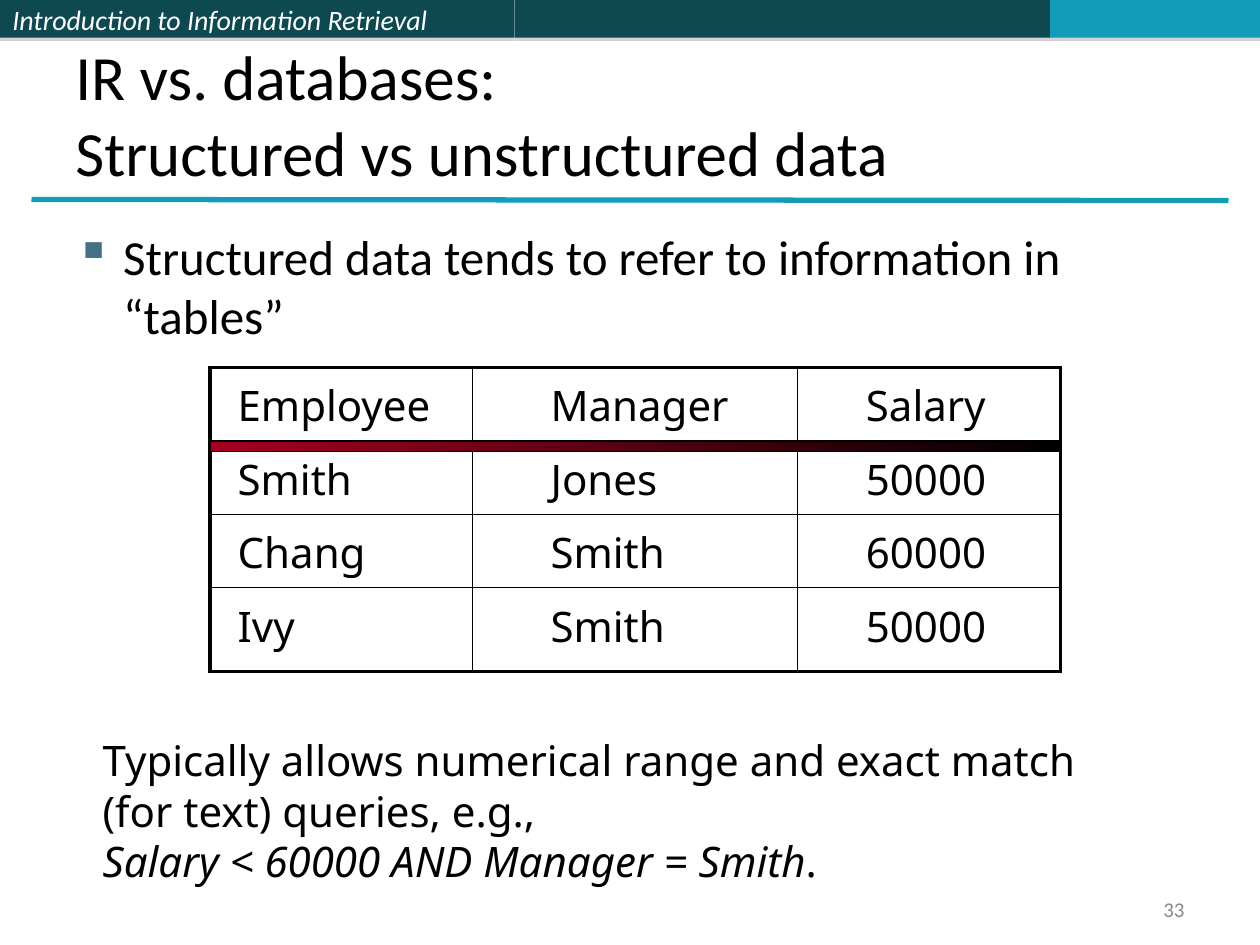
from dataclasses import dataclass

import lxml.etree
import pptx
import pptx.dml.color
import pptx.enum.shapes
import pptx.enum.text
import pptx.oxml
import pptx.oxml.ns
import pptx.util

ALIGN = pptx.enum.text.PP_ALIGN
ANCHOR = pptx.enum.text.MSO_ANCHOR
qn = pptx.oxml.ns.qn


@dataclass(frozen=True)
class Theme:
    heading_font: str = "Calibri"
    data_font: str = "Noto Sans"
    text: str = "000000"
    light: str = "FFFFFF"
    dark_band: str = "0E4851"
    accent: str = "139CB7"
    bullet: str = "437085"
    muted: str = "898989"
    shadow: str = "808080"
    rule_red: str = "A50021"
    title_size: float = 36
    body_size: float = 28
    data_size: float = 24
    data_leading: float = 28.8
    header_size: float = 16
    number_size: float = 12


@dataclass(frozen=True)
class Box:
    """A region in columns and rows of the 120 by 90 slide grid."""
    left: float
    top: float
    width: float
    height: float

    def emu(self):
        return [grid(value) for value in (self.left, self.top, self.width, self.height)]


THEME = Theme()
SLIDE = Box(0, 0, 120, 90)


def grid(units):
    return pptx.util.Inches(units / 12)


def rgb(value):
    return pptx.dml.color.RGBColor.from_string(value)


def style(font, name, size, color, italic=False):
    font.name, font.size, font.italic = name, pptx.util.Pt(size), italic
    font.color.rgb = rgb(color)


def child(parent, tag, **attributes):
    return lxml.etree.SubElement(parent, qn(tag), attributes)


def add_text(page, box, text, anchor=ANCHOR.MIDDLE, wrap=True):
    frame = page.shapes.add_textbox(*box.emu()).text_frame
    frame.word_wrap = wrap
    frame.vertical_anchor = anchor
    frame.text = text
    return frame


def add_rectangle(page, box):
    shape = page.shapes.add_shape(pptx.enum.shapes.MSO_SHAPE.RECTANGLE, *box.emu())
    shape.shadow.inherit = False
    return shape


def add_header(page, box, text):
    left = box.left
    bands = []
    for width, color in ((49, THEME.dark_band), (51, THEME.dark_band), (20, THEME.accent)):
        band = add_rectangle(page, Box(left, box.top, width, box.height))
        band.fill.solid()
        band.fill.fore_color.rgb = rgb(color)
        band.line.fill.background()
        effects = band._element.spPr.find(qn("a:effectLst"))
        shadow = child(effects, "a:outerShdw", dist=str(pptx.util.Pt(1.8)),
                       dir="5400000", rotWithShape="0")
        shade = child(shadow, "a:srgbClr", val=THEME.shadow)
        child(shade, "a:alpha", val="35000")
        bands.append(band)
        left += width
    frame = bands[0].text_frame
    frame.text = text
    frame.vertical_anchor = ANCHOR.MIDDLE
    para = frame.paragraphs[0]
    para.alignment = ALIGN.LEFT
    style(para.runs[0].font, THEME.heading_font, THEME.header_size, THEME.light, True)


def add_title(page, box, text):
    frame = add_text(page, box, text, ANCHOR.BOTTOM)
    for span in frame.paragraphs[0].runs:
        style(span.font, THEME.heading_font, THEME.title_size, THEME.text)


def add_title_rule(page, box):
    left, top, width, height = box.emu()
    rule = page.shapes.add_connector(
        pptx.enum.shapes.MSO_CONNECTOR.STRAIGHT, left, top, left + width, top + height)
    rule.line.color.rgb = rgb(THEME.accent)
    rule.line.width = pptx.util.Pt(3)
    child(rule._element.spPr, "a:effectLst")


def add_bullet(page, box, text):
    para = add_text(page, box, text, ANCHOR.TOP).paragraphs[0]
    properties = para._p.get_or_add_pPr()
    indent = pptx.util.Inches(0.38)
    properties.set("marL", str(indent))
    properties.set("indent", str(-indent))
    child(child(properties, "a:buClr"), "a:srgbClr", val=THEME.bullet)
    child(properties, "a:buChar", char="▪")
    style(para.runs[0].font, THEME.heading_font, THEME.body_size, THEME.text)


def set_borders(cell, outer_sides):
    """Draw thin cell borders, with thick ones on the given outer sides."""
    properties = cell._tc.get_or_add_tcPr()
    for position, side in enumerate("LRTB"):
        width = 2 if side in outer_sides else 0.75
        border = lxml.etree.Element(qn("a:ln" + side), w=str(pptx.util.Pt(width)))
        child(child(border, "a:solidFill"), "a:srgbClr", val=THEME.text)
        properties.insert(position, border)


def add_salary_table(page, box, records):
    columns, rows = (25, 31, 25), (7, 7, 7, 8)
    left_margins = (0.22, 0.62, 0.54)
    table = page.shapes.add_table(len(rows), len(columns), *box.emu()).table
    table.first_row = table.horz_banding = False
    for column, width in zip(table.columns, columns):
        column.width = grid(width)
    for row, height in zip(table.rows, rows):
        row.height = grid(height)
    for r, record in enumerate(records):
        for c, value in enumerate(record):
            cell = table.cell(r, c)
            cell.text = value
            cell.fill.background()
            cell.margin_left = pptx.util.Inches(left_margins[c])
            cell.margin_top = pptx.util.Inches(0.13)
            cell.margin_right = cell.margin_bottom = 0
            para = cell.text_frame.paragraphs[0]
            para.line_spacing = pptx.util.Pt(THEME.data_leading)
            style(para.runs[0].font, THEME.data_font, THEME.data_size, THEME.text)
            edges = {"L": c == 0, "R": c == len(columns) - 1,
                     "T": r == 0, "B": r == len(rows) - 1}
            set_borders(cell, [side for side, outer in edges.items() if outer])
    bar = add_rectangle(page, Box(box.left, box.top + rows[0], box.width, 1))
    bar.fill.gradient()
    bar.fill.gradient_angle = 0
    for stop, color in zip(bar.fill.gradient_stops, (THEME.rule_red, THEME.text)):
        stop.color.rgb = rgb(color)
    bar.line.color.rgb = rgb(THEME.text)
    bar.line.width = pptx.util.Pt(0.75)


def add_query_note(page, box, lines, query):
    frame = add_text(page, box, "\n".join([*lines, query]), wrap=False)
    frame.paragraphs[-1].add_run().text = "."
    for para in frame.paragraphs:
        para.line_spacing = pptx.util.Pt(THEME.data_leading)
        for span in para.runs:
            style(span.font, THEME.data_font, THEME.data_size, THEME.text, span.text == query)


def add_page_number(page, box, number):
    para = add_text(page, box, number).paragraphs[0]
    para.alignment = ALIGN.RIGHT
    style(para.runs[0].font, THEME.heading_font, THEME.number_size, THEME.muted)


def main():
    deck = pptx.Presentation()
    deck.slide_width, deck.slide_height = grid(SLIDE.width), grid(SLIDE.height)
    page = deck.slides.add_slide(deck.slide_layouts[6])
    add_header(page, Box(0, 0, SLIDE.width, 3.6), "Introduction to Information Retrieval")
    add_title_rule(page, Box(3, 19, 114, 0.1))
    add_title(page, Box(6, 3.6, 108, 15), "IR vs. databases:\vStructured vs unstructured data")
    add_bullet(page, Box(6, 21, 108, 65),
               "Structured data tends to refer to information in “tables”")
    add_salary_table(page, Box(20, 35, 81, 29), [
        ("Employee", "Manager", "Salary"), ("Smith", "Jones", "50000"),
        ("Chang", "Smith", "60000"), ("Ivy", "Smith", "50000")])
    add_query_note(page, Box(8.6, 69.4, 95.3, 15.6),
                   ["Typically allows numerical range and exact match", "(for text) queries, e.g.,"],
                   "Salary < 60000 AND Manager = Smith")
    add_page_number(page, Box(86, 85, 28, 3.2), "33")
    deck.save("out.pptx")


if __name__ == "__main__":
    main()
